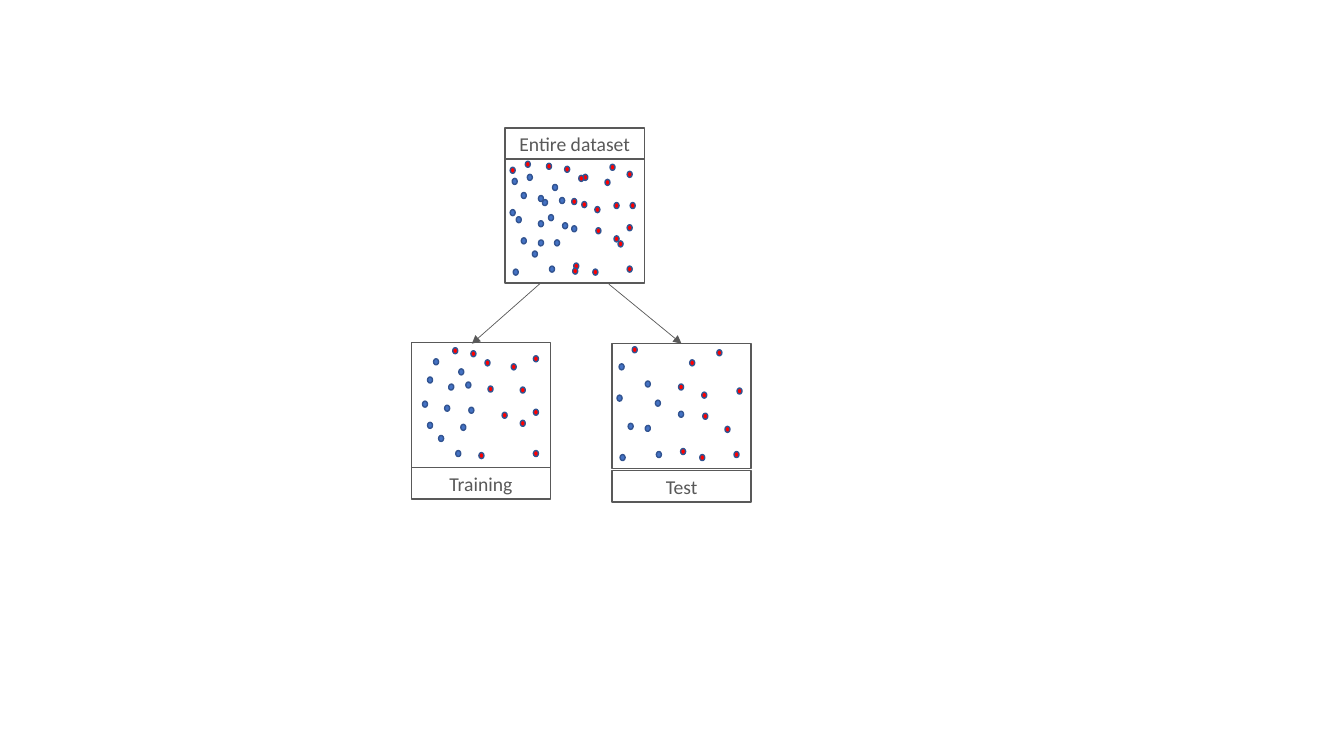
import pptx
import pptx.util
import pptx.dml.color
import pptx.enum.shapes
import pptx.enum.text
import pptx.oxml
import pptx.oxml.ns

INCH = pptx.util.Inches
KIND = pptx.enum.shapes.MSO_SHAPE
HUES = {"blue": "4472C4", "red": "FF0000", "rim": "325491", "grey": "595959"}
FONT = "Calibri"
BOX_W, BOX_H, TAG_H = 1.38, 1.24, 0.31
DOT_W, DOT_H, TILT = 0.05, 0.06, 12

DOTS = {
    "train": {
        "blue": [(0.22, 0.16), (0.54, 0.39), (0.33, 0.62), (0.49, 0.81),
                 (0.57, 0.64), (0.16, 0.34), (0.27, 0.92), (0.11, 0.58),
                 (0.47, 0.26)],
        "red": [(0.76, 0.43), (0.73, 0.17), (1.21, 0.13), (1.08, 0.44),
                (1.08, 0.77), (0.99, 0.21), (0.59, 0.08), (1.21, 0.66),
                (0.67, 1.09), (0.41, 0.05)],
        "tilted": [(0.37, 0.41)],
    },
    "test": {
        "blue": [(0.05, 0.51), (0.66, 0.67), (0.07, 0.20), (0.08, 1.10),
                 (0.33, 0.37), (0.43, 0.56)],
        "red": [(1.24, 0.44), (0.77, 0.16), (0.20, 0.03), (0.68, 1.04),
                (0.87, 1.10), (0.66, 0.40), (1.12, 0.82), (0.89, 0.48),
                (1.04, 0.06)],
        "tilted": [(0.33, 0.81)],
    },
    "both": {
        "blue": [(0.16, 0.79), (0.44, 1.07)],
        "red": [(0.90, 0.69), (1.21, 1.07)],
    },
    "rest": {"red": [(0.05, 0.09)]},
}

PANELS = [
    ("Entire dataset", 5.01, 1.57, 1.27, ["test", "rest", "train", "both"]),
    ("Training", 4.08, 3.40, 4.64, ["train", "both"]),
    ("Test", 6.07, 3.41, 4.67, ["test", "both"]),
]

ARROWS = [
    ((5.36, 2.81), (4.68, 3.41), None),
    ((6.04, 2.82), (6.76, 3.41), "Test"),
]


def color(name):
    return pptx.dml.color.RGBColor.from_string(HUES[name])


def add_shape(kind, x, y, w, h, fill, line):
    shape = slide.shapes.add_shape(kind, INCH(x), INCH(y), INCH(w), INCH(h))
    shape.shadow.inherit = False
    if fill:
        shape.fill.solid()
        shape.fill.fore_color.rgb = color(fill)
    else:
        shape.fill.background()
    shape.line.color.rgb = color(line)
    shape.line.width = pptx.util.Pt(1)
    return shape


def add_dots(group, left, top):
    for hue, spots in DOTS[group].items():
        fill = "blue" if hue == "tilted" else hue
        for x, y in spots:
            dot = add_shape(KIND.OVAL, left + x, top + y, DOT_W, DOT_H, fill, "rim")
            if hue == "tilted":
                dot.rotation = TILT


def add_tag(text, x, y):
    tag = add_shape(KIND.RECTANGLE, x, y, BOX_W, TAG_H, None, "grey")
    frame = tag.text_frame
    frame.text = text
    frame.vertical_anchor = pptx.enum.text.MSO_ANCHOR.MIDDLE
    line = frame.paragraphs[0]
    line.alignment = pptx.enum.text.PP_ALIGN.CENTER
    font = line.runs[0].font
    font.name = FONT
    font.size = pptx.util.Pt(14)
    font.color.rgb = color("grey")


def add_arrow(start, end, goal):
    arrow = slide.shapes.add_connector(
        pptx.enum.shapes.MSO_CONNECTOR.STRAIGHT, *map(INCH, start + end))
    if goal:
        arrow.end_connect(boxes[goal], 0)
    arrow.line.color.rgb = color("grey")
    arrow.line.width = pptx.util.Pt(0.5)
    qn = pptx.oxml.ns.qn
    props = arrow.element.spPr
    head = props.find(qn("a:ln")).makeelement(qn("a:tailEnd"), {"type": "triangle"})
    props.find(qn("a:ln")).append(head)
    props.append(props.makeelement(qn("a:effectLst"), {}))


deck = pptx.Presentation()
deck.slide_width, deck.slide_height = INCH(13.33), INCH(7.5)
slide = deck.slides.add_slide(deck.slide_layouts[6])

boxes = {}
for name, left, top, tag_y, groups in PANELS:
    boxes[name] = add_shape(KIND.RECTANGLE, left, top, BOX_W, BOX_H, None, "grey")
    for group in groups:
        add_dots(group, left, top)
    add_tag(name, left, tag_y)

for start, end, goal in ARROWS:
    add_arrow(start, end, goal)

deck.save("out.pptx")
